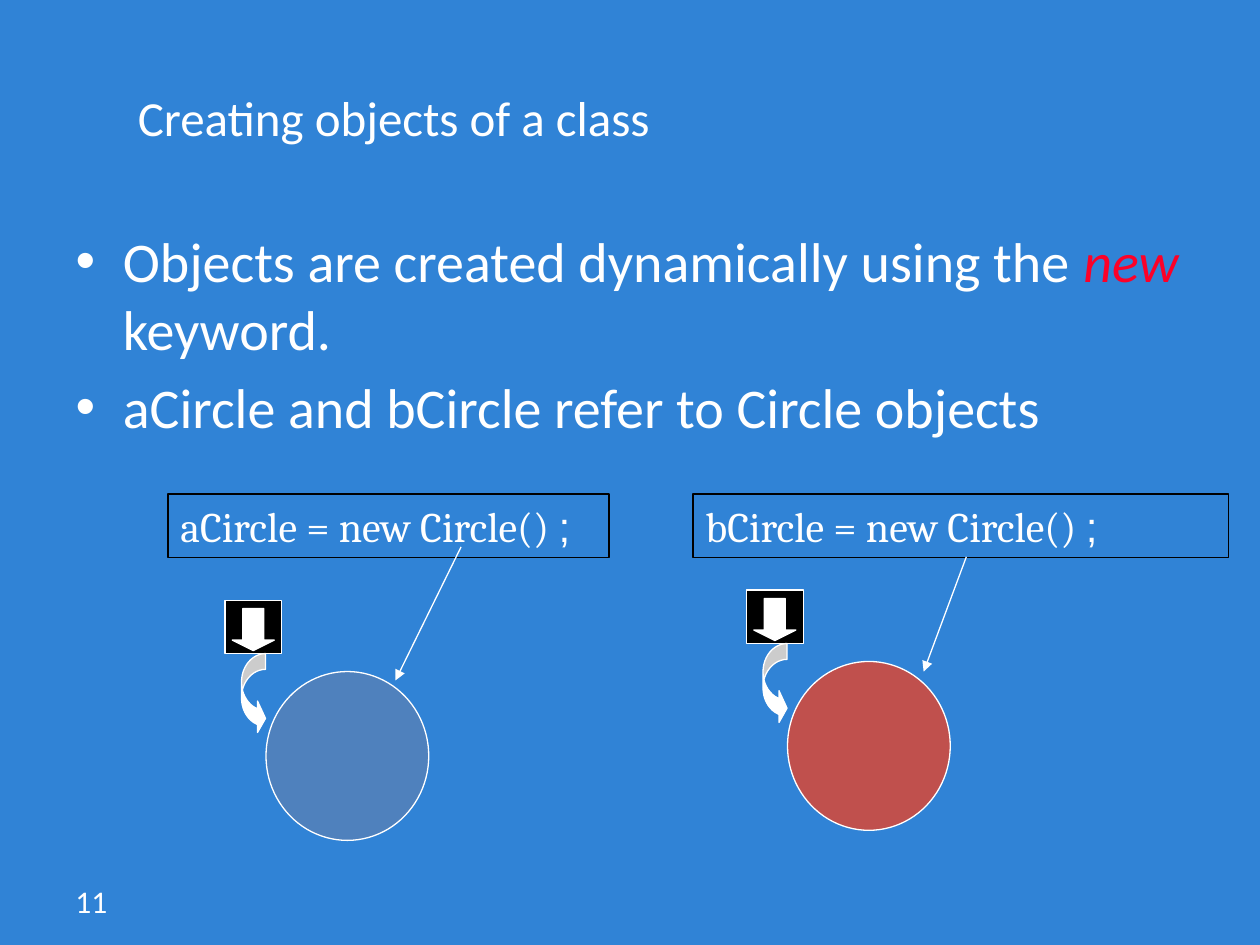
"""Build the slide on creating objects of a class."""
from dataclasses import dataclass

import pptx
import pptx.dml.color
import pptx.enum.shapes
import pptx.enum.text
import pptx.util
from lxml import etree
from pptx.oxml.ns import qn

Pt = pptx.util.Pt
RGB = pptx.dml.color.RGBColor
Shape = pptx.enum.shapes.MSO_SHAPE
Align = pptx.enum.text.PP_ALIGN
Anchor = pptx.enum.text.MSO_ANCHOR
AutoSize = pptx.enum.text.MSO_AUTO_SIZE


@dataclass(frozen=True)
class Theme:
    background: RGB = RGB(0x30, 0x83, 0xD6)
    light: RGB = RGB(0xFF, 0xFF, 0xFF)
    dark: RGB = RGB(0, 0, 0)
    keyword: RGB = RGB(0xFC, 0x01, 0x28)
    blue: RGB = RGB(0x4F, 0x81, 0xBD)
    red: RGB = RGB(0xC0, 0x50, 0x4D)
    text_font: str = "Calibri"
    code_font: str = "Cambria"
    symbol_font: str = "Arial"
    title: float = 28
    body: float = 32
    code: float = 24
    number: float = 18
    line: float = 0.75


@dataclass(frozen=True)
class Box:
    left: float
    top: float
    width: float
    height: float

    def lengths(self):
        return Pt(self.left), Pt(self.top), Pt(self.width), Pt(self.height)


@dataclass(frozen=True)
class Instance:
    name: str
    statement: Box
    circle: Box
    color: RGB
    start: tuple[float, float]
    end: tuple[float, float]
    bend: tuple[float, float, float]


THEME = Theme()
INSTANCES = [
    Instance("bCircle", Box(396, 282.25, 306, 36.5), Box(450, 378, 93, 96.5), THEME.red,
             (552.2, 318.2), (527.8, 383.8), (0.659, 1.319, 0.333)),
    Instance("aCircle", Box(96, 282.25, 252, 36.5), Box(152, 383.75, 93, 96.5), THEME.blue,
             (263.5, 312.5), (226, 388.8), (0.654, 1.307, 0.333)),
]


def style(p, size: float, font: str | None = THEME.text_font) -> None:
    p.font.size = Pt(size)
    p.font.color.rgb = THEME.light
    if font:
        p.font.name = font


def place(sp, box: Box) -> None:
    sp.left, sp.top, sp.width, sp.height = box.lengths()


def add_shape(s, kind: Shape, box: Box, fill: RGB | None, line: RGB = THEME.light):
    sp = s.shapes.add_shape(kind, *box.lengths())
    sp.shadow.inherit = False
    if fill is None:
        sp.fill.background()
    else:
        sp.fill.solid()
        sp.fill.fore_color.rgb = fill
    sp.line.color.rgb = line
    sp.line.width = Pt(THEME.line)
    return sp


def add_statement(s, item: Instance) -> None:
    sp = add_shape(s, Shape.RECTANGLE, item.statement, None, THEME.dark)
    tf = sp.text_frame
    tf.word_wrap = True
    tf.auto_size = AutoSize.SHAPE_TO_FIT_TEXT
    tf.vertical_anchor = Anchor.TOP
    p = tf.paragraphs[0]
    p.alignment = Align.LEFT
    style(p, THEME.code, None)
    for text, font in ((f"{item.name} = new Circle() ", THEME.code_font), (";", THEME.symbol_font)):
        r = p.add_run()
        r.text = text
        r.font.name = font


def add_object(s, item: Instance) -> None:
    x, y = item.circle.left, item.circle.top
    add_shape(s, Shape.RECTANGLE, Box(x - 23.5, y - 40.75, 32.5, 30.5), THEME.dark)
    bend = add_shape(s, Shape.CURVED_RIGHT_ARROW, Box(x - 14, y - 10.25, 13.75, 46), THEME.light)
    for i, value in enumerate(item.bend):
        bend.adjustments[i] = value
    add_shape(s, Shape.OVAL, item.circle, item.color)
    add_shape(s, Shape.DOWN_ARROW, Box(x - 19.25, y - 36, 24, 24), THEME.light).adjustments[1] = 0.25


def add_reference(s, item: Instance) -> None:
    line = s.shapes.add_connector(pptx.enum.shapes.MSO_CONNECTOR.STRAIGHT,
                                  *map(Pt, item.start + item.end))
    line.line.color.rgb = THEME.light
    line.line.width = Pt(THEME.line)
    etree.SubElement(line.line._get_or_add_ln(), qn("a:tailEnd"), type="triangle")
    etree.SubElement(line._element.spPr, qn("a:effectLst"))


def add_text(s) -> None:
    title, body = s.shapes.title, s.placeholders[1]
    place(title, Box(36, 21.6, 378, 90))
    title.text_frame.text = "Creating objects of a class"
    title.text_frame.vertical_anchor = Anchor.MIDDLE
    title.text_frame.auto_size = AutoSize.NONE
    title.text_frame.paragraphs[0].alignment = Align.CENTER
    style(title.text_frame.paragraphs[0], THEME.title)

    place(body, Box(36, 126, 648, 356.4))
    tf = body.text_frame
    tf.auto_size = AutoSize.NONE
    p = tf.paragraphs[0]
    for text in ("Objects are created dynamically using the ", "new", " keyword."):
        r = p.add_run()
        r.text = text
        if text == "new":
            r.font.italic = True
            r.font.color.rgb = THEME.keyword
    tf.add_paragraph().text = "aCircle and bCircle refer to Circle objects"
    for p in tf.paragraphs:
        style(p, THEME.body)
        bullet = etree.SubElement(p._p.get_or_add_pPr(), qn("a:buChar"), char="•")
        p._p.pPr.find(qn("a:defRPr")).addprevious(bullet)

    number = s.shapes.add_textbox(*Box(36, 500.5, 168, 28.75).lengths())
    number.text_frame.word_wrap = True
    number.text_frame.text = "11"
    style(number.text_frame.paragraphs[0], THEME.number)


def main() -> None:
    prs = pptx.Presentation()
    prs.slide_width, prs.slide_height = Pt(720), Pt(540)
    s = prs.slides.add_slide(prs.slide_layouts[1])
    s.background.fill.solid()
    s.background.fill.fore_color.rgb = THEME.background
    add_text(s)
    for item in INSTANCES:
        add_statement(s, item)
        add_object(s, item)
        add_reference(s, item)
    prs.save("out.pptx")


if __name__ == "__main__":
    main()
